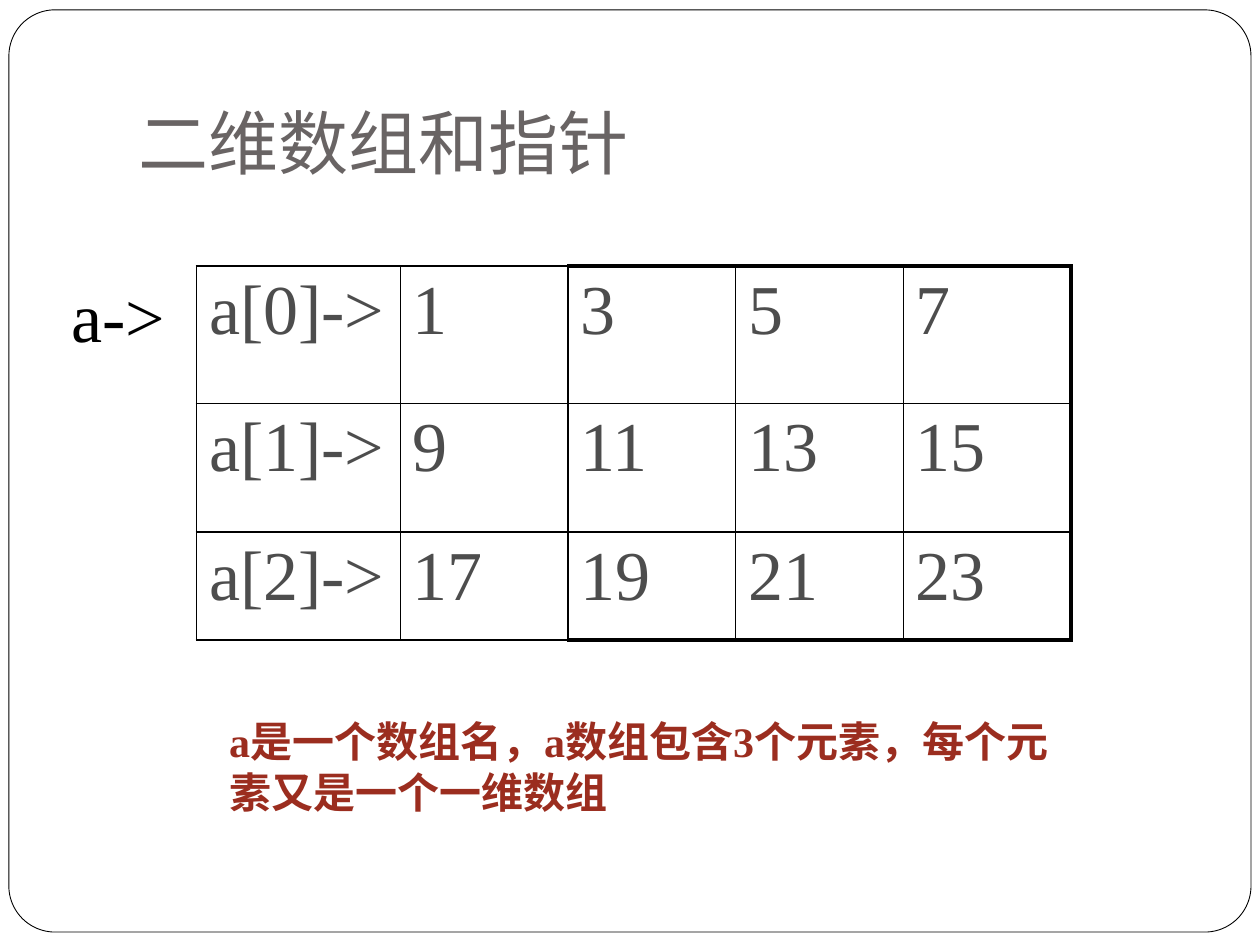
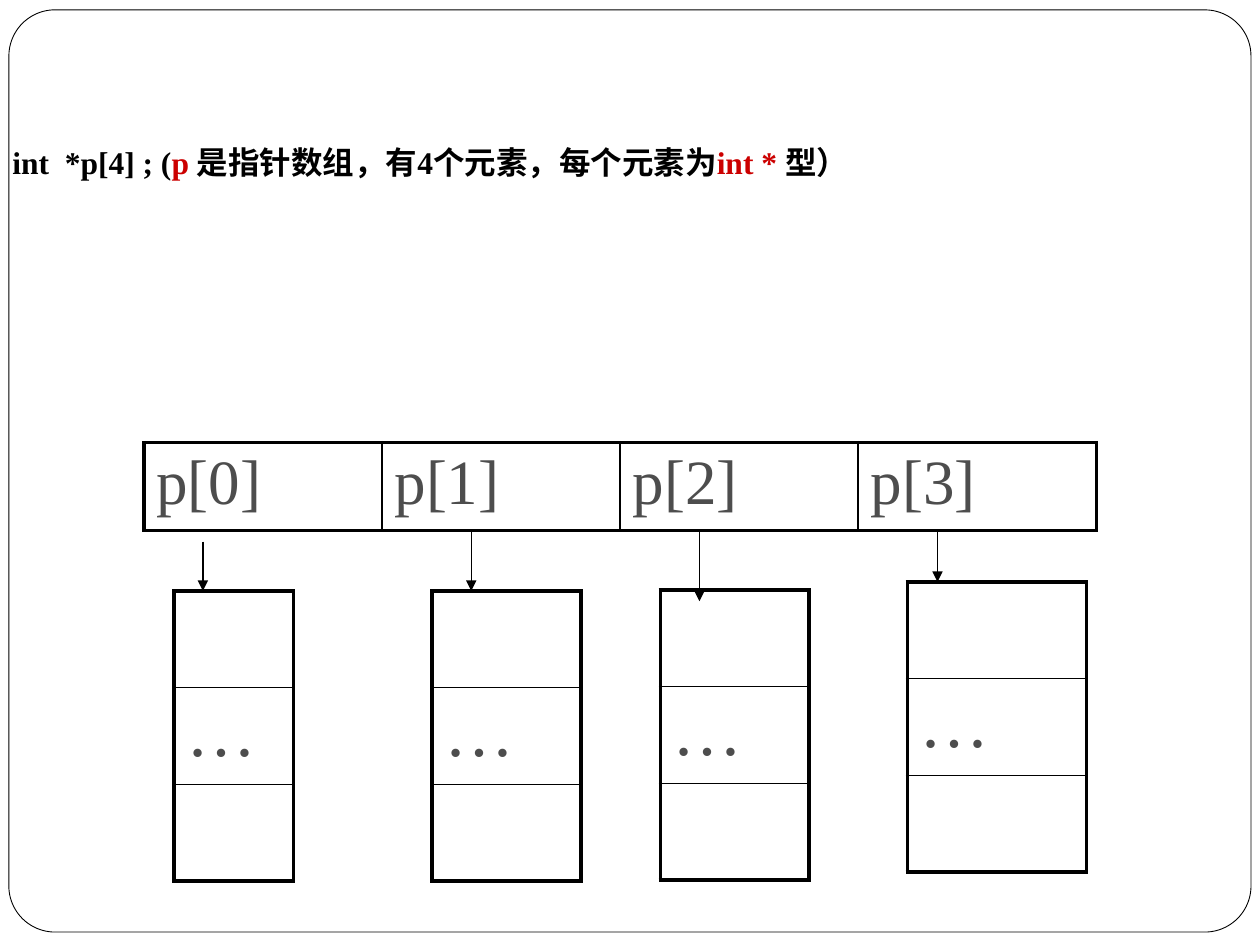
from lxml.etree import SubElement
from pptx import Presentation
from pptx.dml.color import RGBColor
from pptx.enum.shapes import MSO_CONNECTOR, MSO_SHAPE
from pptx.enum.text import MSO_ANCHOR, MSO_AUTO_SIZE, PP_ALIGN
from pptx.oxml import parse_xml
from pptx.oxml.ns import nsdecls, qn
from pptx.util import Cm, Pt

COLOURS = {
    "paper": "FFFFFF",
    "ink": "000000",
    "title": "696464",
    "cell": "4D4D4D",
    "note": "9B2D1F",
    "accent": "CC0000",
}
SERIF = "Times New Roman"
THIN, HEAVY = 1, 2.25
TITLE_STYLE = {"name": "Lato", "size": Pt(40), "bold": False}
LABEL_STYLE = {"name": SERIF, "size": Pt(40)}
INDEX_STYLE = {"name": SERIF, "size": Pt(36)}
NOTE_STYLE = {"name": SERIF, "size": Pt(24), "bold": True}
CODE_STYLE = {"name": SERIF, "size": Pt(18), "bold": True}


def colour(name):
    return RGBColor.from_string(COLOURS[name])


def set_values(target, values):
    for name, value in values.items():
        setattr(target, name, value)


def add_span(para, text, style, ink):
    span = para.add_run()
    span.text = text
    set_values(span.font, style)
    span.font.color.rgb = colour(ink)


def add_label(page, box, spans, style, margin_top=0.13):
    label = page.shapes.add_textbox(*map(Cm, box))
    set_values(label.text_frame, {"word_wrap": True, "margin_top": Cm(margin_top)})
    for text, ink in spans:
        add_span(label.text_frame.paragraphs[0], text, style, ink)


def add_title(page, box, text):
    title = page.shapes.title
    left, top, width, height = map(Cm, box)
    set_values(title, {"left": left, "top": top, "width": width, "height": height})
    set_values(title.text_frame, {
        "vertical_anchor": MSO_ANCHOR.BOTTOM,
        "auto_size": MSO_AUTO_SIZE.NONE,
        "margin_bottom": Cm(0.25),
    })
    para = title.text_frame.paragraphs[0]
    para.alignment = PP_ALIGN.LEFT
    add_span(para, text, TITLE_STYLE, "title")


def add_master_frame(deck, page):
    frame = page.shapes.add_shape(
        MSO_SHAPE.ROUNDED_RECTANGLE, Cm(0.18), Cm(0.2), Cm(25.04), Cm(18.59))
    frame.adjustments[0] = 0.05
    frame.shadow.inherit = False
    frame.fill.solid()
    frame.fill.fore_color.rgb = colour("paper")
    frame.line.color.rgb = colour("ink")
    frame.line.width = Pt(0.5)
    frame.element.nvSpPr.cNvPr.id = 99
    deck.slide_master.element.cSld.spTree.insert(2, frame.element)


def set_borders(cell, widths):
    properties = cell._tc.get_or_add_tcPr()
    for position, (side, width) in enumerate(widths.items()):
        properties.insert(position, parse_xml(
            f'<a:ln{side} {nsdecls("a")} w="{Pt(width)}"><a:solidFill>'
            f'<a:srgbClr val="{COLOURS["ink"]}"/></a:solidFill></a:ln{side}>'))


def add_array(page, corner, column_widths, row_heights, values, style, heavy_from=0):
    left, top = corner
    size = len(row_heights), len(column_widths)
    box = left, top, sum(column_widths), sum(row_heights)
    table = page.shapes.add_table(*size, *map(Cm, box)).table
    set_values(table, {"first_row": False, "horz_banding": False})
    for column, width in zip(table.columns, column_widths):
        column.width = Cm(width)
    for row, height in zip(table.rows, row_heights):
        row.height = Cm(height)
    for i, texts in enumerate(values):
        for j, text in enumerate(texts):
            cell = table.cell(i, j)
            cell.fill.background()
            if text:
                add_span(cell.text_frame.paragraphs[0], text, style, "cell")
            outer = {"L": j == 0, "R": j == size[1] - 1,
                     "T": i == 0, "B": i == size[0] - 1}
            set_borders(cell, {side: HEAVY if edge and j >= heavy_from else THIN
                               for side, edge in outer.items()})


def add_arrow(page, x, start, end):
    arrow = page.shapes.add_connector(
        MSO_CONNECTOR.STRAIGHT, Cm(x), Cm(start), Cm(x), Cm(end))
    arrow.line.color.rgb = colour("ink")
    arrow.line.width = Pt(0.75)
    SubElement(arrow.line._get_or_add_ln(), qn("a:tailEnd"), type="triangle")
    SubElement(arrow.element.spPr, qn("a:effectLst"))


def build_matrix_page(page):
    add_title(page, (2.54, 0.76, 21.59, 3.18), "二维数组和指针")
    values = [[f"a[{row}]->"] + [str(8 * row + odd) for odd in (1, 3, 5, 7)]
              for row in range(3)]
    add_array(page, (3.96, 5.36), [4.11] + [3.38] * 4, [2.77, 2.59, 2.18],
              values, LABEL_STYLE, heavy_from=2)
    add_label(page, (1.19, 5.36, 3.51, 1.96), [("a->", "ink")], LABEL_STYLE)
    add_label(page, (4.37, 14.3, 17.07, 2.31),
              [("a是一个数组名，a数组包含3个元素，每个元素又是一个一维数组", "note")],
              NOTE_STYLE)


def build_pointer_page(page):
    add_label(page, (0, 1.32, 24.21, 6.2), [
        ("int  *p[4] ; (", "ink"),
        ("p ", "accent"),
        ("是指针数组，有4个元素，每个元素为", "ink"),
        ("int * ", "accent"),
        ("型）", "ink"),
    ], CODE_STYLE, margin_top=1.57)
    add_array(page, (2.9, 8.92), [4.8] * 4, [1.78],
              [[f"p[{index}]" for index in range(4)]], INDEX_STYLE)
    targets = [
        (3.51, 11.91, 2.41),
        (8.71, 11.91, 3),
        (13.31, 11.89, 3),
        (18.29, 11.73, 3.61),
    ]
    for left, top, width in targets:
        add_array(page, (left, top), [width], [1.95] * 3, [[""], ["…"], [""]],
                  LABEL_STYLE)
    arrows = [
        (4.09, 10.92, 11.91),
        (9.5, 10.72, 11.91),
        (14.1, 10.72, 12.12),
        (18.9, 10.72, 11.73),
    ]
    for arrow in arrows:
        add_arrow(page, *arrow)


def main():
    deck = Presentation()
    deck.slide_width, deck.slide_height = Cm(25.4), Cm(19.05)
    matrix_page = deck.slides.add_slide(deck.slide_layouts.get_by_name("Title Only"))
    add_master_frame(deck, matrix_page)
    build_matrix_page(matrix_page)
    build_pointer_page(deck.slides.add_slide(deck.slide_layouts.get_by_name("Blank")))
    deck.save("out.pptx")


if __name__ == "__main__":
    main()
